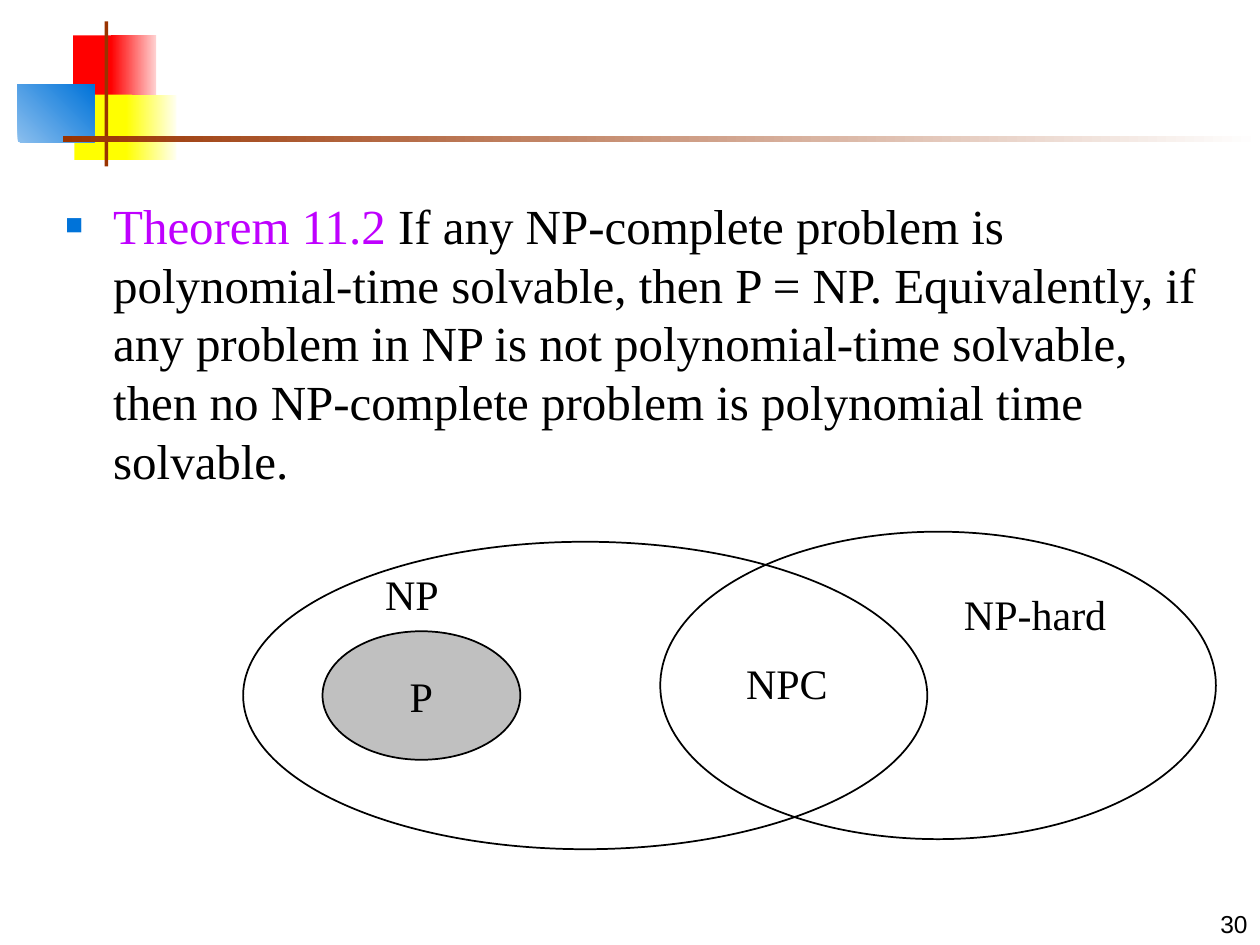
import pptx
import pptx.util
import pptx.dml.color
import pptx.enum.shapes
import pptx.enum.text
import pptx.oxml
import pptx.oxml.ns
from pptx.util import Inches

SHAPE = pptx.enum.shapes.MSO_SHAPE
ALIGN = pptx.enum.text.PP_ALIGN
ANCHOR = pptx.enum.text.MSO_ANCHOR
SERIF = "Times New Roman"
BLACK = "000000"
BLUE = "0073D9"


def color(hex_value):
    return pptx.dml.color.RGBColor.from_string(hex_value)


def set_values(target, values):
    for name, value in values.items():
        setattr(target, name, value)


def add_span(para, text, size, font=SERIF, hex_value=BLACK):
    span = para.add_run()
    span.text = text
    set_values(span.font, {"size": pptx.util.Pt(size), "name": font})
    span.font.color.rgb = color(hex_value)


def add_figure(page, kind, box, fill=None, line=None):
    """Add a shape; fill is None, one colour, or (start, end, angle)."""
    shape = page.shapes.add_shape(kind, *map(Inches, box))
    shape.shadow.inherit = False
    if fill is None:
        shape.fill.background()
    elif isinstance(fill, str):
        shape.fill.solid()
        shape.fill.fore_color.rgb = color(fill)
    else:
        start, end, angle = fill
        shape.fill.gradient()
        shape.fill.gradient_angle = angle
        for stop, hex_value, position in zip(shape.fill.gradient_stops, (start, end), (0, 1)):
            stop.color.rgb = color(hex_value)
            stop.position = position
    if line:
        shape.line.color.rgb = color(line)
        shape.line.width = pptx.util.Pt(1)
    else:
        shape.line.fill.background()
    return shape


def add_label(page, box, text, size=24, font=SERIF, align=ALIGN.CENTER,
              anchor=ANCHOR.TOP, wrap=False):
    label = page.shapes.add_textbox(*map(Inches, box))
    set_values(label.text_frame, {"word_wrap": wrap, "vertical_anchor": anchor})
    para = label.text_frame.paragraphs[0]
    para.alignment = align
    add_span(para, text, size, font)


def add_ornament(page, box):
    """Coloured blocks crossed by a thin upright and a fading rule."""
    left, top, width, height = box
    blocks = [
        ((0.44, 0.11, 0.35, 0.52), "FF0000"),
        ((0.74, 0.11, 0.36, 0.52), ("FF0000", "FFD1D1", 0)),
        ((0.45, 0.58, 0.46, 0.52), "FFFF00"),
        ((0.86, 0.58, 0.4, 0.52), ("FFFF00", "FFFFF0", 0)),
        ((0, 0.5, 0.61, 0.46), ("8BBFEE", BLUE, 45)),
        ((0.69, 0, 0.03, height), "993300"),
        ((0.36, 0.91, width - 0.36, 0.05), ("993300", "FFFFFF", 0)),
    ]
    for (x, y, w, h), fill in blocks:
        add_figure(page, SHAPE.RECTANGLE, (left + x, top + y, w, h), fill)


def add_theorem(page, box):
    """Bulleted statement with a coloured lead."""
    body = page.shapes.add_textbox(*map(Inches, box))
    body.text_frame.word_wrap = True
    para = body.text_frame.paragraphs[0]
    para.space_before = pptx.util.Pt(7)
    add_span(para, "Theorem 11.2", 28, hex_value="BF00FF")
    add_span(para, " If any NP-complete problem is polynomial-time solvable, "
             "then P = NP. Equivalently, if any problem in NP is not "
             "polynomial-time solvable, then no NP-complete problem is "
             "polynomial time solvable.", 28)
    # Square bullet with a hanging indent
    properties = para._p.get_or_add_pPr()
    indent = Inches(0.38)
    properties.set("marL", str(indent))
    properties.set("indent", str(-indent))
    namespace = pptx.oxml.ns.nsdecls("a")
    for element in (
        f'<a:buClr {namespace}><a:srgbClr val="{BLUE}"/></a:buClr>',
        f'<a:buSzPct {namespace} val="60000"/>',
        f'<a:buFont {namespace} typeface="Arial"/>',
        f'<a:buChar {namespace} char="■"/>',
    ):
        properties.append(pptx.oxml.parse_xml(element))


def add_class_diagram(page, box):
    """Overlapping NP and NP-hard sets, with P inside NP."""
    left, top, width, height = box
    set_height = 2.44
    add_figure(page, SHAPE.OVAL, (left, top + height - set_height, 5.43, set_height), line=BLACK)
    inner = add_figure(page, SHAPE.OVAL, (left + 0.63, top + 0.79, 1.57, 1.02), "C0C0C0", BLACK)
    set_values(inner.text_frame, {"word_wrap": False, "vertical_anchor": ANCHOR.MIDDLE})
    para = inner.text_frame.paragraphs[0]
    para.alignment = ALIGN.CENTER
    add_span(para, "P", 24)
    add_figure(page, SHAPE.OVAL, (left + width - 4.41, top, 4.41, set_height), line=BLACK)
    for text, x, y, label_width in (
        ("NP", 1.01, 0.24, 0.66),
        ("NPC", 3.87, 0.95, 0.89),
        ("NP-hard", 5.49, 0.4, 1.59),
    ):
        add_label(page, (left + x, top + y, label_width, 0.5), text)


def main():
    deck = pptx.Presentation()
    set_values(deck, {"slide_width": Inches(10), "slide_height": Inches(7.5)})
    page = deck.slides.add_slide(deck.slide_layouts[6])
    add_ornament(page, (0.14, 0.17, 9.86, 1.15))
    # Page number
    add_label(page, (7.92, 7, 2.08, 0.5), "30", 14, "Arial", ALIGN.RIGHT, ANCHOR.BOTTOM, True)
    add_theorem(page, (0.42, 1.5, 9.38, 5.21))
    add_class_diagram(page, (1.93, 4.22, 7.72, 2.52))
    deck.save("out.pptx")


if __name__ == "__main__":
    main()
